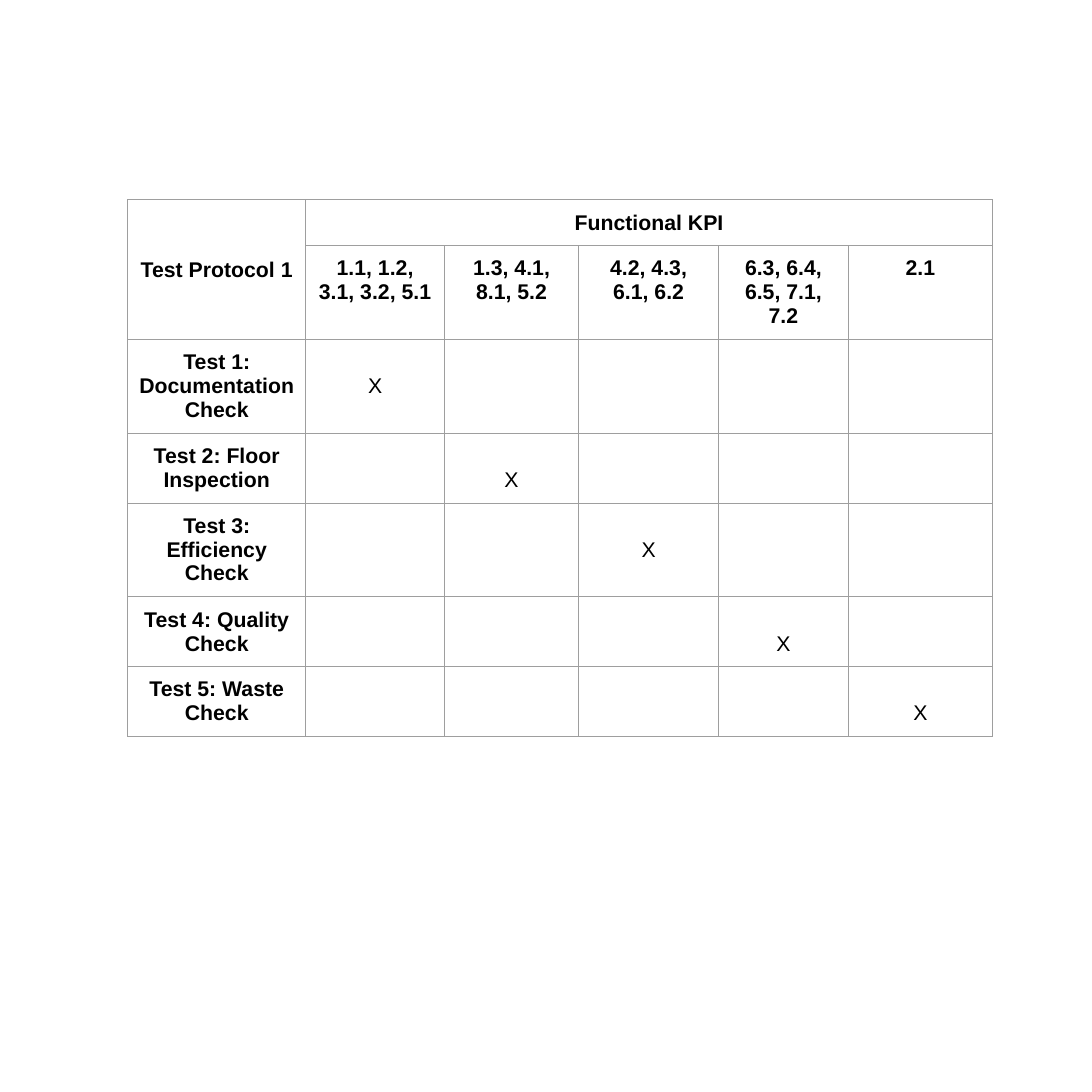
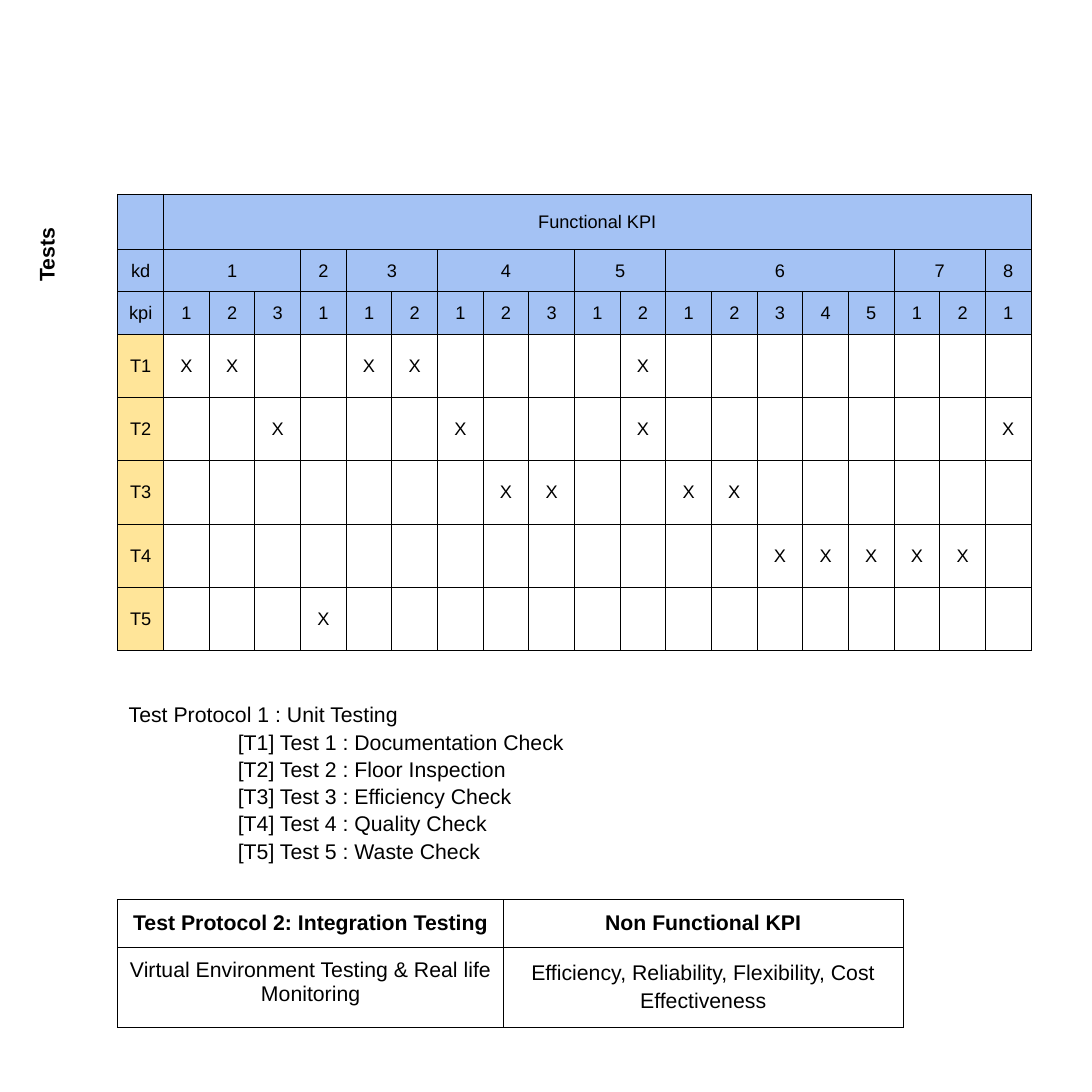
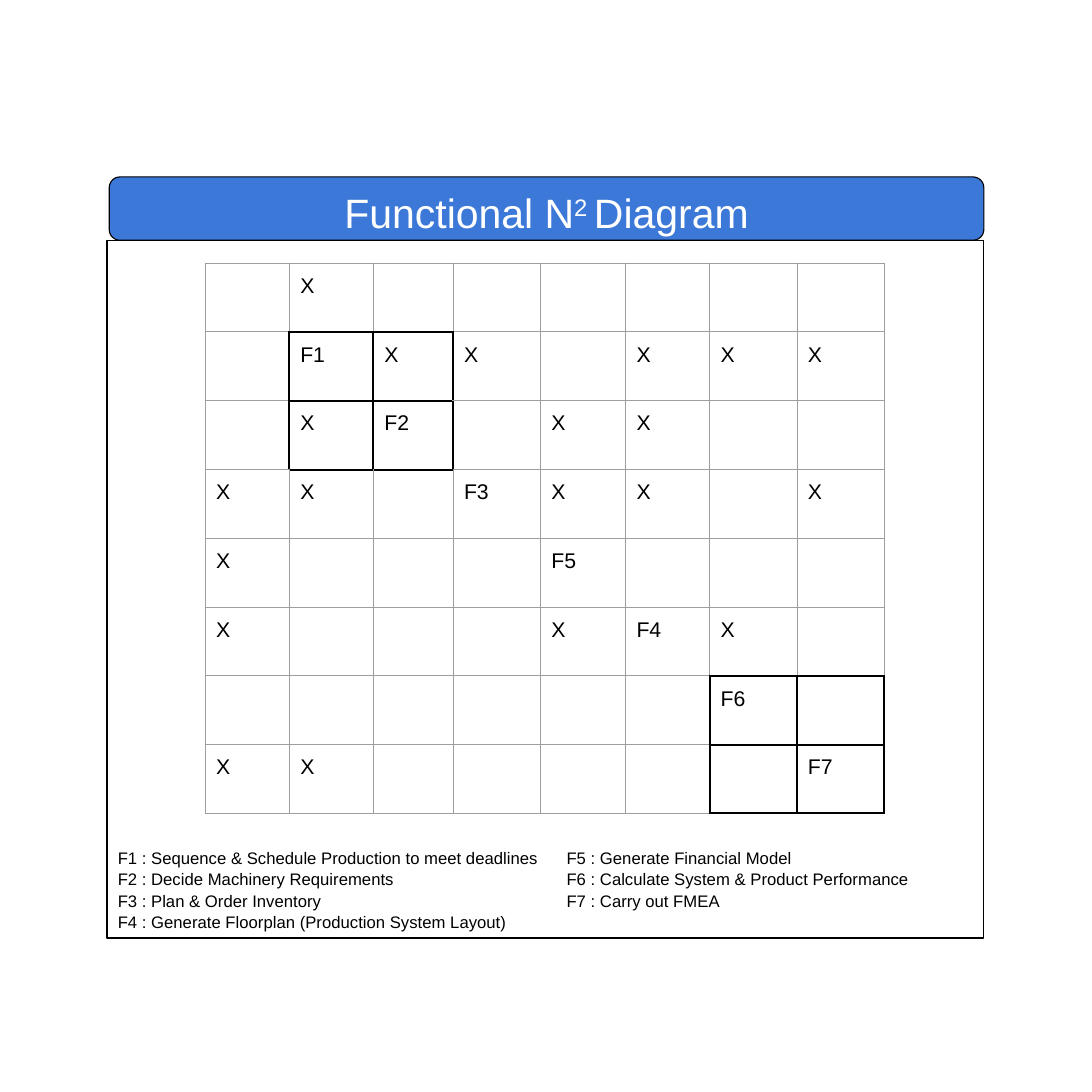
from itertools import accumulate

from lxml.etree import SubElement
from pptx import Presentation
from pptx.dml.color import RGBColor
from pptx.enum.shapes import MSO_SHAPE as Shape
from pptx.enum.text import MSO_ANCHOR as Anchor, MSO_AUTO_SIZE as AutoSize, PP_ALIGN as Align
from pptx.oxml.ns import qn
from pptx.util import Inches, Pt

COLOURS = {
    "ink": "000000",
    "grid": "9E9E9E",
    "header": "A4C2F4",
    "test": "FFE599",
    "band": "3C78D8",
    "light": "FFFFFF",
}
FONT = "Arial"
INSET = 0.1
SIDES = {"L": (0, -1), "R": (0, 1), "T": (-1, 0), "B": (1, 0)}


def colour(name):
    return RGBColor.from_string(COLOURS[name])


class Board:
    def __init__(self):
        self.deck = Presentation()
        self.deck.slide_width = self.deck.slide_height = Inches(10)
        self.page = None

    def add_page(self, titled=False):
        self.page = self.deck.slides.add_slide(self.deck.slide_layouts[5 if titled else 6])

    def format_paragraph(self, para, size, bold=False, align=Align.LEFT, ink="ink", spacing=None):
        para.alignment = align
        if spacing:
            para.line_spacing = spacing
        for span in para.runs:
            span.font.name = FONT
            span.font.size = Pt(size)
            span.font.bold = bold
            span.font.color.rgb = colour(ink)

    def set_margins(self, item, inset=INSET):
        item.margin_left = item.margin_right = Inches(inset)
        item.margin_top = item.margin_bottom = Inches(inset)

    def text(self, place, lines, size, bold=False, indent=0, angle=0):
        box = self.page.shapes.add_textbox(*map(Inches, place))
        box.rotation = angle
        frame = box.text_frame
        frame.word_wrap = True
        self.set_margins(frame)
        frame.text = "\n".join(lines)
        for number, para in enumerate(frame.paragraphs):
            if indent and number:
                para._p.get_or_add_pPr().set("marL", str(Inches(indent)))
            self.format_paragraph(para, size, bold, spacing=1.07)

    def shape(self, kind, place, fill=None):
        shape = self.page.shapes.add_shape(kind, *map(Inches, place))
        shape.shadow.inherit = False
        if fill:
            shape.fill.solid()
            shape.fill.fore_color.rgb = colour(fill)
        else:
            shape.fill.background()
        shape.line.color.rgb = colour("ink")
        shape.line.width = Pt(0.75)
        return shape

    def title(self, place, parts, size):
        band = self.shape(Shape.ROUNDED_RECTANGLE, place, "band")
        band.adjustments[0] = 0.17
        title = self.page.shapes.title
        self.page.shapes._spTree.append(title._element)
        title.left, title.top, title.width, title.height = map(Inches, place)
        frame = title.text_frame
        frame.auto_size = AutoSize.NONE
        frame.word_wrap = True
        frame.vertical_anchor = Anchor.MIDDLE
        self.set_margins(frame, 0.07)
        para = frame.paragraphs[0]
        for words, baseline in parts:
            span = para.add_run()
            span.text = words
            span._r.get_or_add_rPr().set("baseline", str(baseline * 1000))
        self.format_paragraph(para, size, align=Align.CENTER, ink="light", spacing=1.15)

    def table(self, left, top, widths, heights, line="ink"):
        frame = self.page.shapes.add_table(
            len(heights), len(widths), Inches(left), Inches(top),
            Inches(sum(widths)), Inches(sum(heights)))
        table = frame.table
        table.first_row = table.horz_banding = False
        for column, width in zip(table.columns, widths):
            column.width = Inches(width)
        for row, height in zip(table.rows, heights):
            row.height = Inches(height)
        for cell in table.iter_cells():
            for side in SIDES:
                self.border(cell, side, line, 0.75)
            cell.fill.background()
        return table

    def border(self, cell, side, name, width):
        properties = cell._tc.get_or_add_tcPr()
        edge = properties.find(qn(f"a:ln{side}"))
        if edge is None:
            edge = SubElement(properties, qn(f"a:ln{side}"))
            SubElement(SubElement(edge, qn("a:solidFill")), qn("a:srgbClr"))
        edge.set("w", str(Pt(width)))
        edge[0][0].set("val", COLOURS[name])

    def cell(self, cell, words, size=14, bold=False, align=Align.CENTER,
             anchor=Anchor.TOP, fill=None, spacing=None):
        self.set_margins(cell)
        cell.vertical_anchor = anchor
        cell.text_frame.text = words
        self.format_paragraph(cell.text_frame.paragraphs[0], size, bold, align, spacing=spacing)
        if fill:
            cell.fill.solid()
            cell.fill.fore_color.rgb = colour(fill)

    def outline_block(self, table, cells):
        for row, column in cells:
            for side, (down, across) in SIDES.items():
                self.border(table.cell(row, column), side, "ink", 1.5)
                near = (row + down, column + across)
                if near not in cells and max(near) < len(table.rows):
                    facing = dict(zip("LRTB", "RLBT"))[side]
                    self.border(table.cell(*near), facing, "ink", 1.5)


def protocol_page(board):
    board.add_page()
    tests = ["Test 1: Documentation Check", "Test 2: Floor Inspection", "Test 3: Efficiency Check",
             "Test 4: Quality Check", "Test 5: Waste Check"]
    groups = ["1.1, 1.2, 3.1, 3.2, 5.1", "1.3, 4.1, 8.1, 5.2", "4.2, 4.3, 6.1, 6.2",
              "6.3, 6.4, 6.5, 7.1, 7.2", "2.1"]
    heights = [0.42, 0.86, 0.86, 0.63, 0.86, 0.63, 0.63]
    table = board.table(1.17, 1.83, [1.63, 1.27, 1.23, 1.28, 1.19, 1.32], heights, "grid")
    table.cell(0, 0).merge(table.cell(1, 0))
    table.cell(0, 1).merge(table.cell(0, 5))
    board.cell(table.cell(0, 0), "Test Protocol 1", bold=True, anchor=Anchor.MIDDLE)
    board.cell(table.cell(0, 1), "Functional KPI", bold=True)
    for number, (test, group) in enumerate(zip(tests, groups), 1):
        row = number + 1
        board.cell(table.cell(1, number), group, bold=True)
        board.cell(table.cell(row, 0), test, bold=True)
        anchor = Anchor.MIDDLE if heights[row] > 0.7 else Anchor.BOTTOM
        board.cell(table.cell(row, number), "X", anchor=anchor)


def matrix_page(board):
    board.add_page()
    counts = [3, 1, 2, 3, 2, 5, 2, 1]
    marks = [(1, 2, 5, 6, 11), (3, 7, 11, 19), (8, 9, 12, 13), range(14, 19), (4,)]
    table = board.table(1.08, 1.78, [8.37 / 20] * 20, [0.48, 0.38, 0.38] + [0.58] * 5)
    middle = {"size": 12, "anchor": Anchor.MIDDLE}
    header = {"fill": "header", **middle}
    table.cell(0, 1).merge(table.cell(0, 19))
    board.cell(table.cell(0, 1), "Functional KPI", **header)
    for row, words in enumerate(["", "kd", "kpi"]):
        board.cell(table.cell(row, 0), words, **header)
    starts = accumulate(counts[:-1], initial=1)
    for number, (start, count) in enumerate(zip(starts, counts), 1):
        if count > 1:
            table.cell(1, start).merge(table.cell(1, start + count - 1))
        board.cell(table.cell(1, start), str(number), **header)
        for step in range(count):
            board.cell(table.cell(2, start + step), str(step + 1), **header)
    for number, columns in enumerate(marks, 1):
        board.cell(table.cell(number + 2, 0), f"T{number}", fill="test", **middle)
        for column in columns:
            board.cell(table.cell(number + 2, column), "X", **middle)

    board.text((1.08, 6.31, 8.03, 1.62), [
        "Test Protocol 1 : Unit Testing",
        "[T1] Test 1 : Documentation Check",
        "[T2] Test 2 : Floor Inspection",
        "[T3] Test 3 : Efficiency Check",
        "[T4] Test 4 : Quality Check",
        "[T5] Test 5 : Waste Check",
    ], 14, indent=1)
    board.text((0.04, 2.09, 0.74, 0.44), ["Tests"], 14, bold=True, angle=270)

    summary = board.table(1.08, 8.24, [3.53, 3.66], [0.43, 0.73])
    board.cell(summary.cell(0, 0), "Test Protocol 2: Integration Testing", bold=True)
    board.cell(summary.cell(0, 1), "Non Functional KPI", bold=True)
    board.cell(summary.cell(1, 0), "Virtual Environment Testing & Real life Monitoring")
    board.cell(summary.cell(1, 1), "Efficiency, Reliability, Flexibility, Cost Effectiveness",
               spacing=1.15)


def diagram_page(board):
    board.add_page(titled=True)
    board.title((1, 1.62, 8.01, 0.58), [("Functional N", 0), ("2 ", 30), ("Diagram", 0)], 27)
    board.shape(Shape.RECTANGLE, (0.98, 2.2, 8.03, 6.39))
    board.text((0.98, 7.65, 4.11, 0.94), [
        "F1 : Sequence & Schedule Production to meet deadlines",
        "F2 : Decide Machinery Requirements",
        "F3 : Plan & Order Inventory",
        "F4 : Generate Floorplan (Production System Layout)",
    ], 11)
    board.text((5.09, 7.65, 3.84, 0.76), [
        "F5 : Generate Financial Model",
        "F6 : Calculate System & Product Performance",
        "F7 : Carry out FMEA",
    ], 11)
    entries = [
        {1: "X"},
        {1: "F1", 2: "X", 3: "X", 5: "X", 6: "X", 7: "X"},
        {1: "X", 2: "F2", 4: "X", 5: "X"},
        {0: "X", 1: "X", 3: "F3", 4: "X", 5: "X", 7: "X"},
        {0: "X", 4: "F5"},
        {0: "X", 4: "X", 5: "F4", 6: "X"},
        {6: "F6"},
        {0: "X", 1: "X", 7: "F7"},
    ]
    widths = [0.77, 0.77, 0.73, 0.8, 0.78, 0.77, 0.8, 0.8]
    table = board.table(1.88, 2.41, widths, [0.63] * 8, "grid")
    for row, columns in enumerate(entries):
        for column, words in columns.items():
            board.cell(table.cell(row, column), words, align=Align.LEFT)
    for start in (1, 6):
        block = [(start + down, start + across) for down in (0, 1) for across in (0, 1)]
        board.outline_block(table, block)


def main():
    board = Board()
    protocol_page(board)
    matrix_page(board)
    diagram_page(board)
    board.deck.save("out.pptx")


if __name__ == "__main__":
    main()
